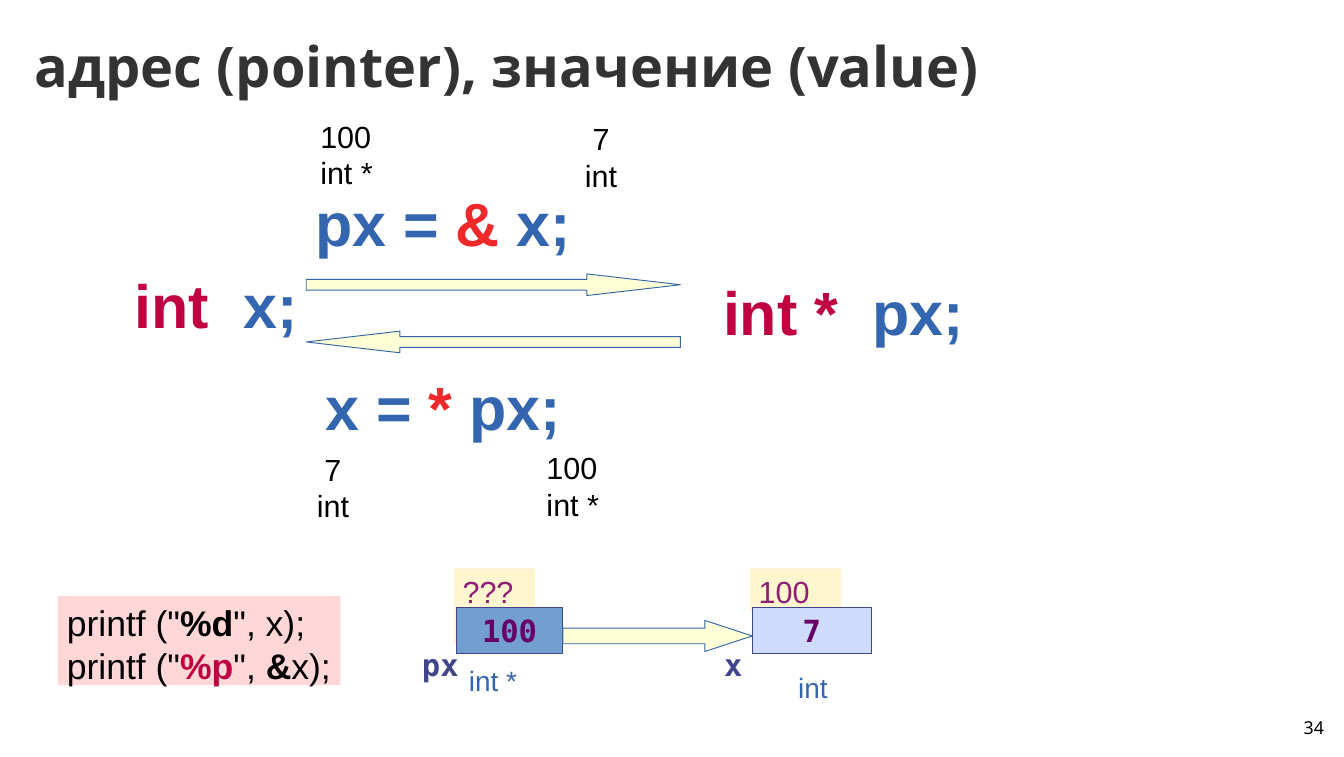
from pptx import Presentation
from pptx.dml.color import RGBColor
from pptx.enum.shapes import MSO_SHAPE
from pptx.enum.text import MSO_ANCHOR, PP_ALIGN
from pptx.util import Pt

RECTANGLE = MSO_SHAPE.RECTANGLE
RIGHT_ARROW, LEFT_ARROW = MSO_SHAPE.RIGHT_ARROW, MSO_SHAPE.LEFT_ARROW
LEFT, CENTER, RIGHT = PP_ALIGN.LEFT, PP_ALIGN.CENTER, PP_ALIGN.RIGHT
TOP, MIDDLE = MSO_ANCHOR.TOP, MSO_ANCHOR.MIDDLE

SANS, MONO, HEADING = "Arial", "DejaVu Sans Mono", "Noto Sans"
BLACK, BLUE, RED, CRIMSON = "000000", "3465AF", "EF2929", "BF0041"
NAVY, PURPLE, PLUM, CHARCOAL = "40458C", "660066", "8D1D75", "333333"
CREAM, PALE_YELLOW, PINK, ARROW_LINE = "FFF5CE", "FFFFD7", "FFD7D7", "3465A4"

# Content: each text is a list of lines, each line a list of (text, colour, bold)
TITLE = "адрес (pointer), значение (value)"
PAGE_NUMBER = "34"
STATEMENTS = [
    ((562, 212, 271, 60), [("int *  ", CRIMSON, True), ("px;", BLUE, True)]),
    ((99, 207, 189, 60), [("int  ", CRIMSON, True), ("x;", BLUE, True)]),
    ((241, 142, 287, 60), [("px = ", BLUE, True), ("&", RED, True), (" x;", BLUE, True)]),
    ((249, 287, 266, 60), [("x = ", BLUE, True), ("*", RED, True), (" px;", BLUE, True)]),
]
POINTER_NOTE, VALUE_NOTE = ("100", "int *"), ("7", "int")
NOTES = [
    (VALUE_NOTE, (453, 91, 40, 63), CENTER),
    (VALUE_NOTE, (242, 351, 40, 63), CENTER),
    (POINTER_NOTE, (423, 350, 91, 61), LEFT),
    (POINTER_NOTE, (245, 89, 91, 61), LEFT),
]
PRINTF_LINES = [
    [('printf ("', BLACK, False), ("%d", BLACK, True), ('", x);', BLACK, False)],
    [('printf ("', BLACK, False), ("%p", CRIMSON, True), ('", ', BLACK, False),
     ("&", BLACK, True), ("x);", BLACK, False)],
]
MEMORY_CELLS = [
    dict(name="x", value="7", address="100", type="int", left=592, width=94,
         fill="CFDBFD", tag_size=(72, 34), name_center=577, type_at=(621, 524)),
    dict(name="px", value="100", address="???", type="int *", left=359, width=84,
         fill="729FCF", tag_size=(64, 60), name_center=346.5, type_at=(362, 518)),
]
CELL_TOP, CELL_HEIGHT, TAG_TOP, NAME_TOP = 478, 36, 447, 505

presentation = Presentation()
presentation.slide_width, presentation.slide_height = Pt(1057.68), Pt(595.44)
slide = presentation.slides.add_slide(presentation.slide_layouts[6])


def color(hex_code):
    return RGBColor.from_string(hex_code)


def add_box(kind, box, fill, line=None, line_width=0):
    shape = slide.shapes.add_shape(kind, *map(Pt, box))
    shape.shadow.inherit = False
    shape.fill.solid()
    shape.fill.fore_color.rgb = color(fill)
    if line:
        shape.line.color.rgb = color(line)
        shape.line.width = Pt(line_width)
    else:
        shape.line.fill.background()
    return shape


def add_arrow(kind, box, head):
    arrow = add_box(kind, box, PALE_YELLOW, ARROW_LINE)
    arrow.adjustments[1] = head


def add_text(lines, box=None, shape=None, size=24, font=SANS, align=LEFT,
             anchor=TOP, margins=(7.2, 3.6)):
    shape = shape or slide.shapes.add_textbox(*map(Pt, box))
    frame = shape.text_frame
    frame.word_wrap = True
    frame.vertical_anchor = anchor
    frame.margin_left = Pt(margins[0] if align == LEFT else 0)
    frame.margin_right = 0
    frame.margin_top = frame.margin_bottom = Pt(margins[1])
    paragraph = frame.paragraphs[0]
    paragraph.alignment = align
    for index, line in enumerate(lines):
        if index:
            paragraph.add_line_break()
        for text, text_color, bold in line:
            run = paragraph.add_run()
            run.text = text
            run.font.name, run.font.size, run.font.bold = font, Pt(size), bold
            run.font.color.rgb = color(text_color)


# Title
add_text([[(TITLE, CHARCOAL, True)]], (27, 12, 760, 79), size=44, font=HEADING,
         anchor=MIDDLE, margins=(0, 0))

# Declarations and assignments with their notes
for box, line in STATEMENTS:
    add_text([line], box, size=48)
add_arrow(RIGHT_ARROW, (241, 215.5, 294.5, 17), 4.33)
add_arrow(LEFT_ARROW, (241, 260.5, 294.5, 17), 4.33)
for note, box, align in NOTES:
    add_text([[(line, BLACK, False)] for line in note], box, align=align)

# Memory cells: address tag, value, name and type
for cell in MEMORY_CELLS:
    tag = add_box(RECTANGLE, (cell["left"] - 2, TAG_TOP, *cell["tag_size"]), CREAM)
    add_text([[(cell["address"], PLUM, False)]], shape=tag)
    value_box = add_box(RECTANGLE, (cell["left"], CELL_TOP, cell["width"], CELL_HEIGHT),
                        cell["fill"], NAVY, 0.75)
    add_text([[(cell["value"], PURPLE, True)]], shape=value_box, font=MONO,
             align=CENTER, anchor=MIDDLE)
    add_text([[(cell["name"], NAVY, True)]], (cell["name_center"] - 21.5, NAME_TOP, 43, 36),
             font=MONO, align=CENTER)
    add_text([[(cell["type"], BLUE, False)]], (*cell["type_at"], 80, 34), size=22)

# Arrow from the pointer cell to the value cell
target, pointer = MEMORY_CELLS
start = pointer["left"] + pointer["width"]
add_arrow(RIGHT_ARROW, (start, 488, target["left"] - start, 24.5), 1.52)

# Printing example and page number
printf_box = add_box(RECTANGLE, (45.5, 469, 222.5, 70), PINK)
add_text(PRINTF_LINES, shape=printf_box, size=28)
add_text([[(PAGE_NUMBER, BLACK, False)]], (796, 564, 246, 22), size=14, font=HEADING,
         align=RIGHT, margins=(0, 0))

presentation.save("out.pptx")
